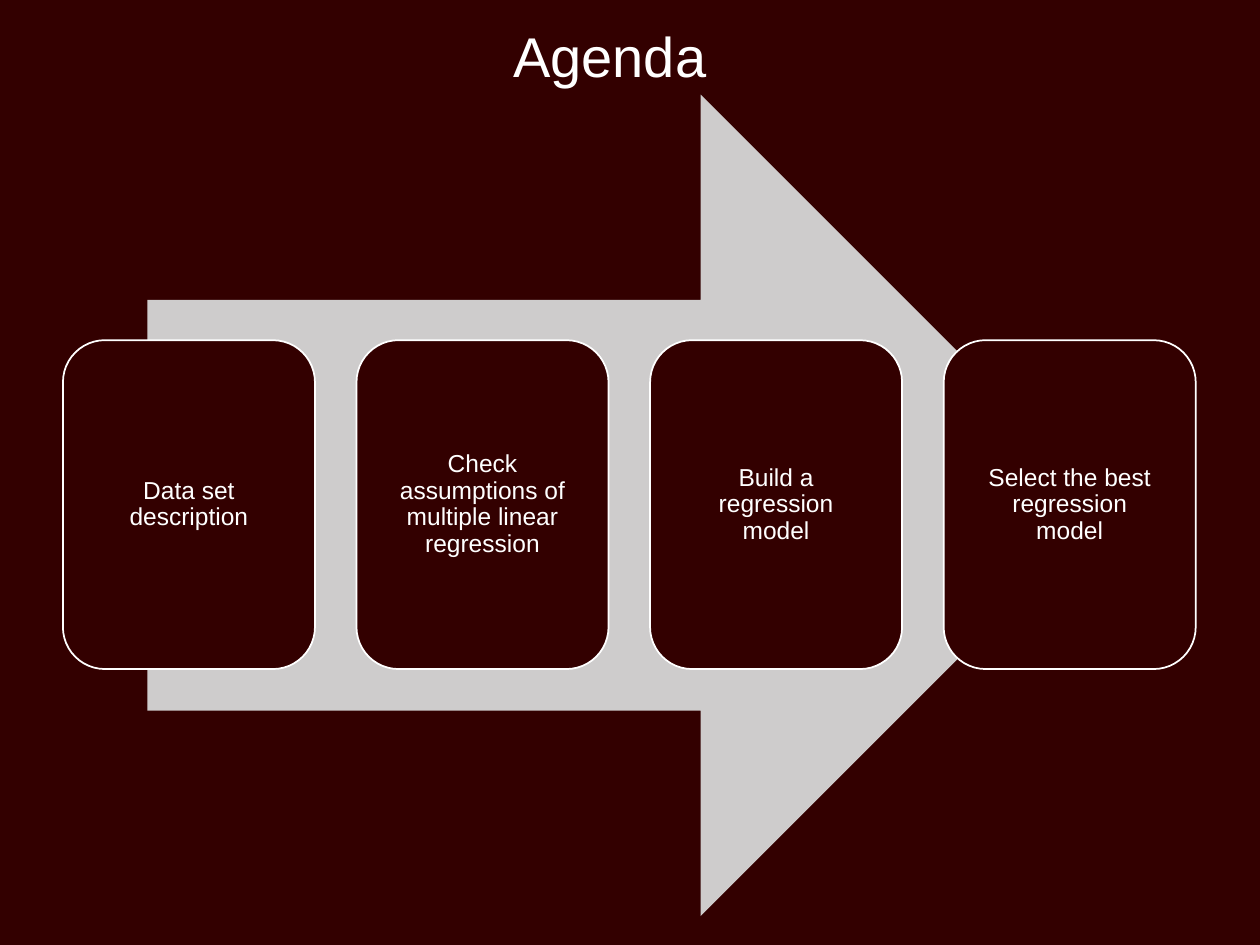
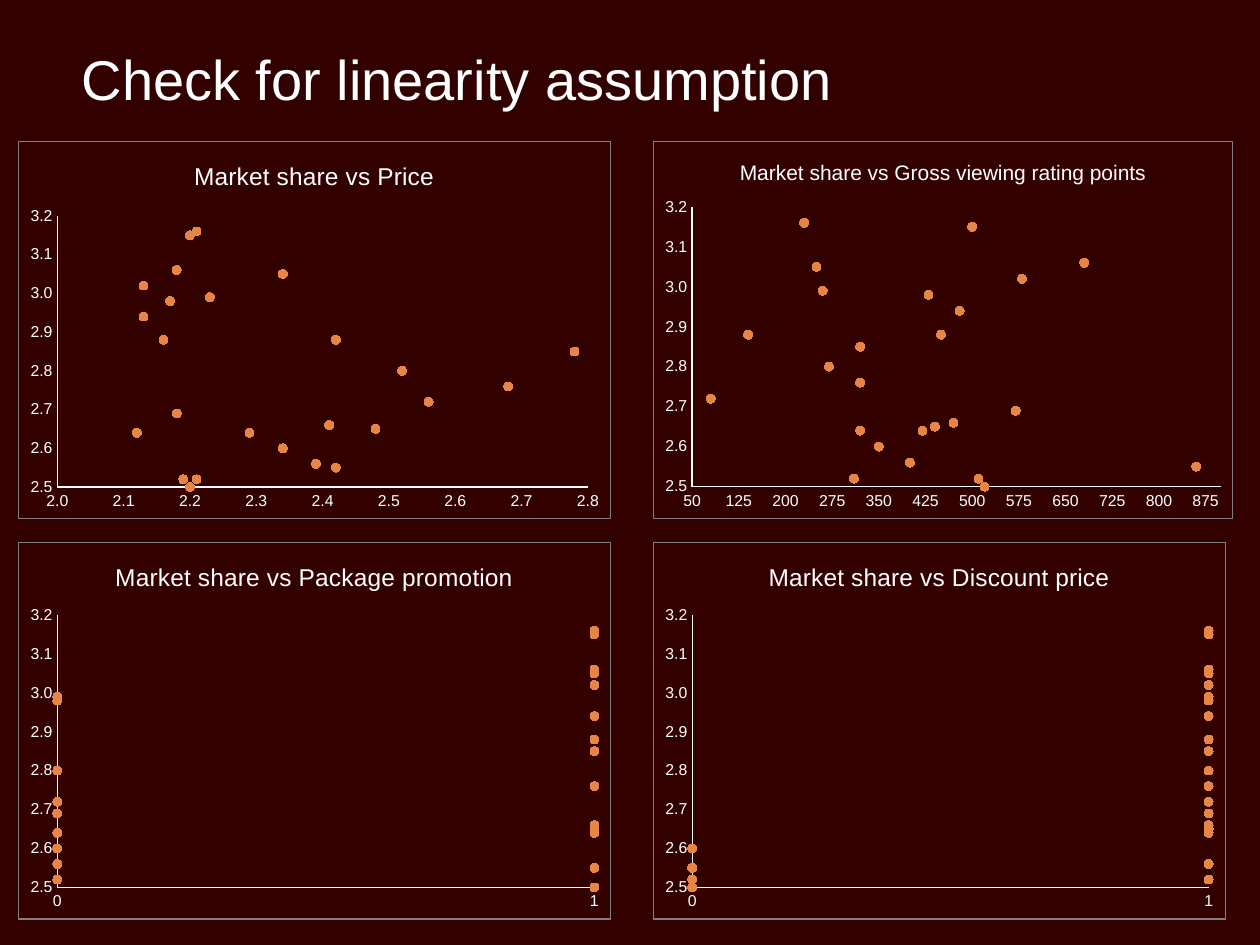
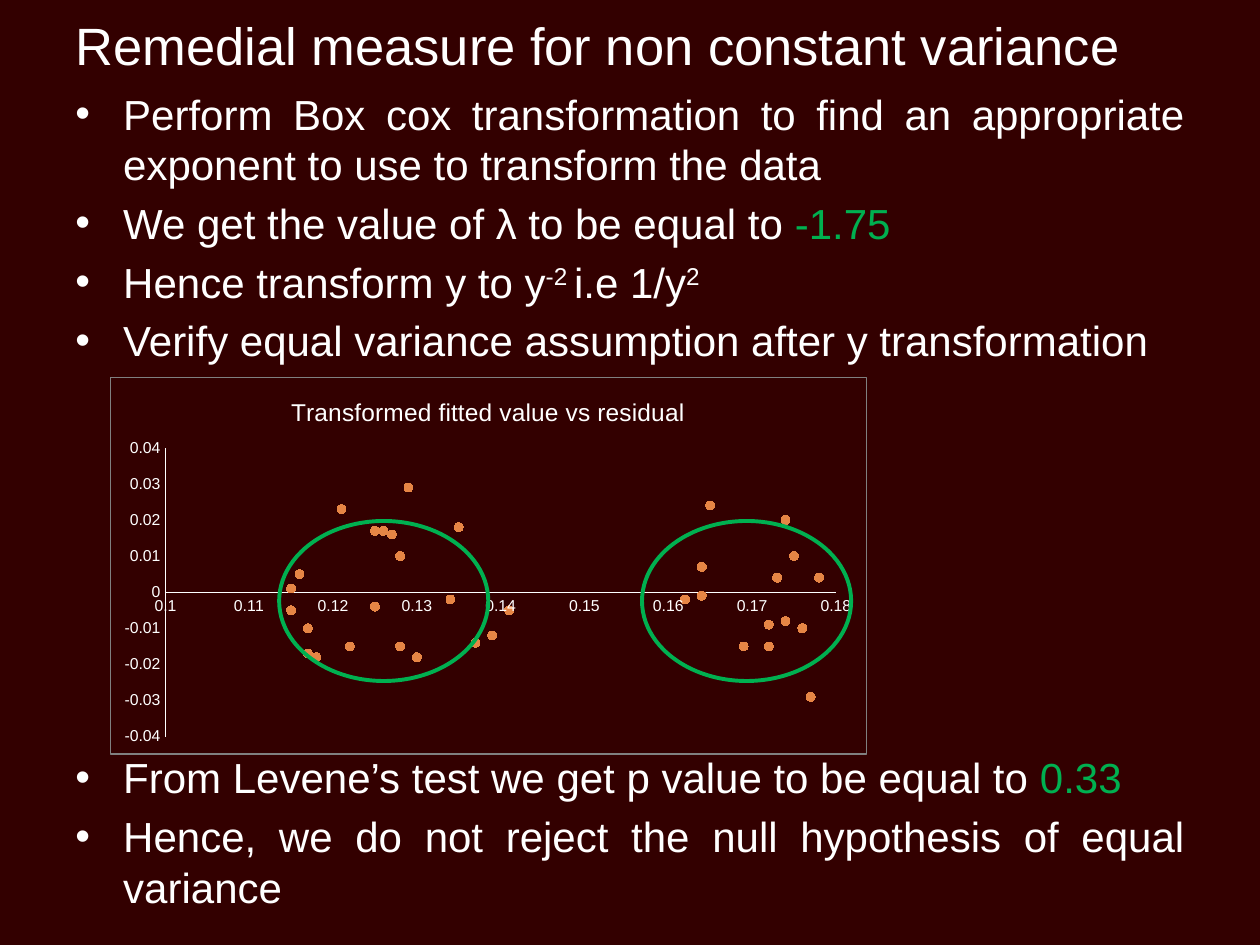
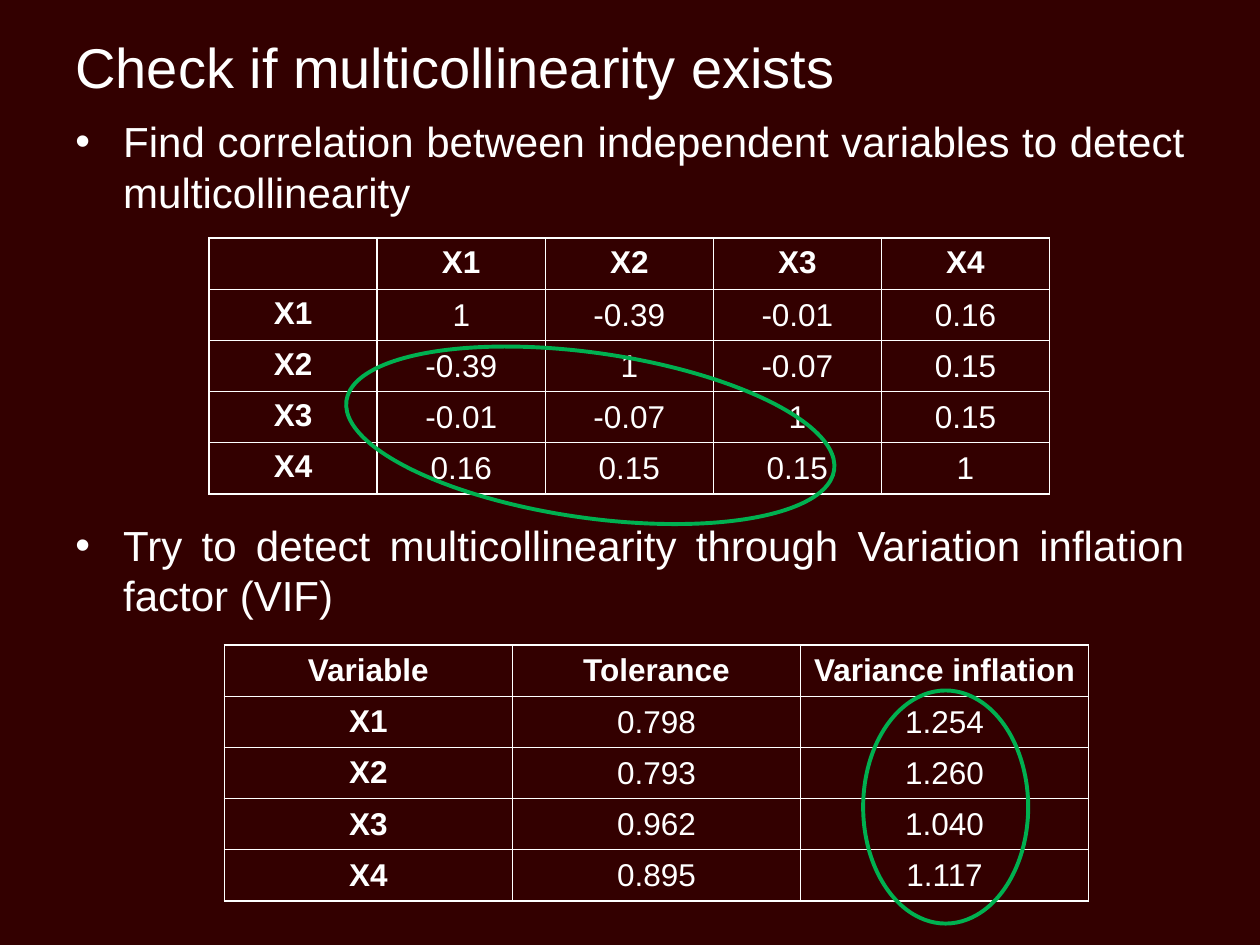
from lxml.etree import SubElement
from pptx import Presentation
from pptx.chart.data import XyChartData
from pptx.dml.color import RGBColor
from pptx.enum.chart import XL_CHART_TYPE as ChartType, XL_MARKER_STYLE as Marker
from pptx.enum.chart import XL_TICK_MARK as TickMark
from pptx.enum.shapes import MSO_SHAPE as Shape
from pptx.enum.text import MSO_ANCHOR as Anchor, PP_ALIGN as Align
from pptx.oxml import parse_xml
from pptx.oxml.ns import nsdecls, qn
from pptx.util import Inches, Pt

# Shared style
COLORS = {
    "background": "330000",
    "text": "FFFFFF",
    "arrow": "CECCCC",
    "highlight": "00B050",
    "marker": "E68545",
    "border": "808080",
}
FONT = "Arial"
BODY_SIZE = 24

# Weekly observations behind the four scatter charts
MARKET_SHARE = [
    3.15, 2.52, 2.64, 2.55, 2.69, 2.38, 3.02, 2.52, 2.45, 2.42, 3.16, 2.6,
    2.98, 2.5, 2.45, 3.06, 2.34, 2.88, 2.94, 2.72, 2.27, 2.33, 2.64, 2.76,
    3.05, 2.48, 2.23, 2.65, 2.56, 2.66, 2.99, 2.3, 2.88, 2.8, 2.48, 2.85]
PRICE = [
    2.2, 2.19, 2.29, 2.42, 2.18, 2.21, 2.13, 2.21, 2.31, 2.26, 2.21, 2.34,
    2.17, 2.2, 2.25, 2.18, 2.37, 2.16, 2.13, 2.56, 2.59, 2.25, 2.12, 2.68,
    2.34, 2.27, 2.44, 2.48, 2.39, 2.41, 2.23, 2.3, 2.42, 2.52, 2.5, 2.78]
RATING_POINTS = [
    500, 510, 420, 860, 570, 540, 580, 310, 210, 500, 230, 350,
    430, 520, 460, 680, 150, 450, 480, 80, 70, 390, 320, 320,
    250, 450, 520, 440, 400, 470, 260, 180, 140, 270, 320, 320]
DISCOUNT = [int(flag) for flag in "101010110010100101110011100111101101"]
PROMOTION = [int(flag) for flag in "101100100110010101101001110101011011"]

# Regression after transforming y
FITTED = [
    0.117, 0.172, 0.121, 0.169, 0.128, 0.173, 0.115, 0.129, 0.176,
    0.164, 0.118, 0.177, 0.128, 0.162, 0.174, 0.117, 0.178, 0.116,
    0.115, 0.141, 0.174, 0.175, 0.126, 0.134, 0.122, 0.164, 0.181,
    0.127, 0.135, 0.125, 0.13, 0.165, 0.125, 0.139, 0.172, 0.137]
RESIDUALS = [
    -0.017, -0.015, 0.023, -0.015, 0.01, 0.004, -0.005, 0.029, -0.01,
    0.007, -0.018, -0.029, -0.015, -0.002, -0.008, -0.01, 0.004, 0.005,
    0.001, -0.005, 0.02, 0.01, 0.017, -0.002, -0.015, -0.001, 0.02,
    0.016, 0.018, 0.017, -0.018, 0.024, -0.004, -0.012, -0.009, -0.014]

CORRELATIONS = [
    ["", "X1", "X2", "X3", "X4"],
    ["X1", "1", "-0.39", "-0.01", "0.16"],
    ["X2", "-0.39", "1", "-0.07", "0.15"],
    ["X3", "-0.01", "-0.07", "1", "0.15"],
    ["X4", "0.16", "0.15", "0.15", "1"],
]
INFLATION = [
    ["Variable", "Tolerance", "Variance inflation"],
    ["X1", "0.798", "1.254"],
    ["X2", "0.793", "1.260"],
    ["X3", "0.962", "1.040"],
    ["X4", "0.895", "1.117"],
]


def rgb(name):
    return RGBColor.from_string(COLORS[name])


def style_font(font, size, color="text", bold=False):
    font.name, font.size, font.bold = FONT, Pt(size), bold
    font.color.rgb = rgb(color)


def write(para, text, size=BODY_SIZE, color="text", bold=False, align=None, raised=False):
    """Append one formatted span to a paragraph."""
    span = para.add_run()
    span.text = text
    style_font(span.font, size, color, bold)
    if raised:
        span._r.get_or_add_rPr().set("baseline", "30000")
    if align is not None:
        para.alignment = align


def set_insets(target, left, top, right, bottom):
    target.margin_left, target.margin_top = Inches(left), Inches(top)
    target.margin_right, target.margin_bottom = Inches(right), Inches(bottom)


def add_page(deck):
    page = deck.slides.add_slide(deck.slide_layouts[6])
    page.background.fill.solid()
    page.background.fill.fore_color.rgb = rgb("background")
    return page


def add_frame(page, area, anchor):
    frame = page.shapes.add_textbox(*map(Inches, area)).text_frame
    frame.word_wrap = True
    frame.vertical_anchor = anchor
    return frame


def add_title(page, text, area, size=32, align=Align.LEFT):
    frame = add_frame(page, area, Anchor.BOTTOM)
    write(frame.paragraphs[0], text, size=size, align=align)


def add_bullets(page, area, items):
    """Each item is (space before in points, list of (text, format) spans)."""
    frame = add_frame(page, area, Anchor.TOP)
    for number, (gap, spans) in enumerate(items):
        para = frame.add_paragraph() if number else frame.paragraphs[0]
        para.space_before = Pt(gap)
        for text, style in spans:
            write(para, text, align=Align.JUSTIFY, **style)
        props = para._p.get_or_add_pPr()
        props.set("marL", str(Inches(0.38)))
        props.set("indent", str(-Inches(0.38)))
        SubElement(props, qn("a:buFont")).set("typeface", FONT)
        SubElement(props, qn("a:buChar")).set("char", "•")


def add_block(page, kind, area, fill=None, line=None, width=1.0, turn=0):
    block = page.shapes.add_shape(kind, *map(Inches, area))
    block.shadow.inherit = False
    block.rotation = turn
    if fill:
        block.fill.solid()
        block.fill.fore_color.rgb = rgb(fill)
    else:
        block.fill.background()
    if line:
        block.line.color.rgb = rgb(line)
        block.line.width = Pt(width)
    else:
        block.line.fill.background()
    return block


def add_ring(page, area, turn):
    add_block(page, Shape.OVAL, area, line="highlight", width=2.25, turn=turn)


def add_step(page, area, text):
    step = add_block(page, Shape.ROUNDED_RECTANGLE, area, fill="background", line="text")
    frame = step.text_frame
    frame.word_wrap = True
    frame.vertical_anchor = Anchor.MIDDLE
    set_insets(frame, 0.16, 0.16, 0.16, 0.16)
    para = frame.paragraphs[0]
    para.line_spacing = 0.9
    write(para, text, size=14, align=Align.CENTER)


def style_axis(axis, low, high, major, number_format):
    axis.minimum_scale, axis.maximum_scale, axis.major_unit = low, high, major
    axis.has_major_gridlines = False
    axis.major_tick_mark = axis.minor_tick_mark = TickMark.NONE
    axis.tick_labels.number_format = number_format
    axis.tick_labels.number_format_is_linked = False
    style_font(axis.tick_labels.font, 9)
    axis.format.line.color.rgb = rgb("text")
    axis.format.line.width = Pt(0.75)


def place_plot(chart, area, margins):
    """Fix the inner plot area by its margins (left, top, right, bottom) in inches."""
    width, height = area[2:]
    left, top, right, bottom = margins
    shares = {"x": left / width, "y": top / height,
              "w": (width - left - right) / width,
              "h": (height - top - bottom) / height}
    values = "".join(f'<c:{key} val="{share:.3f}"/>' for key, share in shares.items())
    layout = parse_xml(
        f'<c:layout {nsdecls("c")}><c:manualLayout><c:layoutTarget val="inner"/>'
        f'<c:xMode val="edge"/><c:yMode val="edge"/>{values}</c:manualLayout></c:layout>')
    plot_area = chart._chartSpace.chart.plotArea
    for old in plot_area.findall(qn("c:layout")):
        plot_area.remove(old)
    plot_area.insert(0, layout)


def add_border(chart):
    chart._chartSpace.chart.addnext(parse_xml(
        f'<c:spPr {nsdecls("c", "a")}><a:noFill/><a:ln w="{Pt(0.75)}"><a:solidFill>'
        f'<a:srgbClr val="{COLORS["border"]}"/></a:solidFill></a:ln></c:spPr>'))


def add_scatter(page, title, area, points, x_axis, y_axis, margins, title_size=14):
    data = XyChartData()
    series = data.add_series("Series 1")
    for x, y in points:
        series.add_data_point(x, y)
    chart = page.shapes.add_chart(ChartType.XY_SCATTER, *map(Inches, area), data).chart
    chart.has_legend = False
    style_font(chart.font, 10)
    write(chart.chart_title.text_frame.paragraphs[0], title, size=title_size)
    chart.chart_title.include_in_layout = False
    style_axis(chart.category_axis, *x_axis)
    style_axis(chart.value_axis, *y_axis)
    plot = chart.plots[0]
    plot.vary_by_categories = False
    dots = plot.series[0]
    dots.smooth = False
    dots.format.line.fill.background()
    dots.marker.style, dots.marker.size = Marker.CIRCLE, 5
    dots.marker.format.fill.solid()
    dots.marker.format.fill.fore_color.rgb = rgb("marker")
    dots.marker.format.line.color.rgb = rgb("marker")
    place_plot(chart, area, margins)
    add_border(chart)


def add_cell_borders(cell):
    props = cell._tc.get_or_add_tcPr()
    for number, side in enumerate(("lnL", "lnR", "lnT", "lnB")):
        props.insert(number, parse_xml(
            f'<a:{side} {nsdecls("a")} w="{Pt(1)}"><a:solidFill>'
            f'<a:srgbClr val="{COLORS["text"]}"/></a:solidFill></a:{side}>'))


def add_grid(page, area, rows, label_anchor):
    """Table whose first row and first column are bold labels."""
    table = page.shapes.add_table(len(rows), len(rows[0]), *map(Inches, area)).table
    table.first_row = table.horz_banding = False
    for row_number, row in enumerate(rows):
        for column_number, text in enumerate(row):
            cell = table.cell(row_number, column_number)
            is_label = row_number == 0 or column_number == 0
            cell.fill.background()
            cell.vertical_anchor = label_anchor if is_label else Anchor.MIDDLE
            if not is_label:
                set_insets(cell, 0.01, 0.01, 0.01, 0)
            if text:
                write(cell.text_frame.paragraphs[0], text, size=18,
                      bold=is_label, align=Align.CENTER)
            add_cell_borders(cell)


def build_agenda(deck):
    page = add_page(deck)
    add_title(page, "Agenda", (2.83, 0, 4.02, 0.75), align=Align.CENTER)
    add_block(page, Shape.RIGHT_ARROW, (1.17, 0.75, 7.65, 6.52), fill="arrow")
    steps = ["Data set description",
             "Check assumptions of multiple linear regression",
             "Build a regression model",
             "Select the best regression model"]
    for number, text in enumerate(steps):
        add_step(page, (0.5 + 2.33 * number, 2.7, 2, 2.61), text)


def build_linearity(deck):
    page = add_page(deck)
    add_title(page, "Check for linearity assumption", (0.55, 0.23, 9, 0.71))
    share_axis = (2.5, 3.2, 0.1, "0.0")
    flag_axis = (0, 1, 1, "General")
    # title, area, x values, x axis, plot top and right margins, title size
    charts = [
        ("Price", (0.14, 1.12, 4.71, 3), PRICE, (2, 2.8, 0.1, "0.0"), 0.59, 0.18, 14),
        ("Gross viewing rating points", (5.18, 1.12, 4.61, 3), RATING_POINTS,
         (50, 900, 75, "General"), 0.52, 0.09, 12),
        ("Discount price", (5.18, 4.3, 4.55, 3), DISCOUNT, flag_axis, 0.58, 0.13, 14),
        ("Package promotion", (0.14, 4.3, 4.71, 3), PROMOTION, flag_axis, 0.58, 0.13, 14),
    ]
    for factor, area, values, x_axis, top, right, size in charts:
        add_scatter(page, f"Market share vs {factor}", area, zip(values, MARKET_SHARE),
                    x_axis, share_axis, (0.31, top, right, 0.25), title_size=size)


def build_remedy(deck):
    page = add_page(deck)
    add_title(page, "Remedial measure for non constant variance", (0.5, 0, 9, 0.65),
              size=30, align=Align.JUSTIFY)
    green, raised = {"color": "highlight"}, {"raised": True}
    add_bullets(page, (0.5, 0.65, 9, 6.13), [
        (4.8, [("Perform Box cox transformation to find an appropriate "
                "exponent to use to transform the data", {})]),
        (4.8, [("We get the value of λ to be equal to ", {}), ("-1.75", green)]),
        (4.8, [("Hence transform y to y", {}), ("-2 ", raised),
               ("i.e 1/y", {}), ("2", raised)]),
        (4.8, [("Verify equal variance assumption after y transformation", {})]),
        (221, [("From Levene’s test we get p value to be equal to ", {}), ("0.33", green)]),
        (4.8, [("Hence, we do not reject the null hypothesis of equal variance", {})]),
    ])
    add_scatter(page, "Transformed fitted value vs residual", (0.87, 2.99, 6.01, 3),
                zip(FITTED, RESIDUALS), (0.1, 0.18, 0.01, "General"),
                (-0.04, 0.04, 0.01, "General"), (0.44, 0.56, 0.24, 0.14))
    for left in (2.41, 5.29):
        add_ring(page, (left, 3.94, 1.27, 1.66), turn=90)


def build_multicollinearity(deck):
    page = add_page(deck)
    add_title(page, "Check if multicollinearity exists", (0.5, 0.19, 9, 0.65),
              align=Align.JUSTIFY)
    add_bullets(page, (0.5, 0.87, 9, 6.63), [
        (4.8, [("Find correlation between independent variables to detect "
                "multicollinearity", {})]),
        (173, [("Try to detect multicollinearity through Variation inflation "
                "factor (VIF)", {})]),
    ])
    add_grid(page, (1.66, 1.89, 6.67, 2.03), CORRELATIONS, Anchor.TOP)
    add_grid(page, (1.78, 5.12, 6.86, 2.03), INFLATION, Anchor.MIDDLE)
    add_ring(page, (2.73, 2.8, 3.91, 1.31), turn=8.1)
    add_ring(page, (6.58, 5.75, 1.85, 1.31), turn=90)


def main():
    deck = Presentation()
    deck.slide_width, deck.slide_height = Inches(10), Inches(7.5)
    build_agenda(deck)
    build_linearity(deck)
    build_remedy(deck)
    build_multicollinearity(deck)
    deck.save("out.pptx")


if __name__ == "__main__":
    main()
